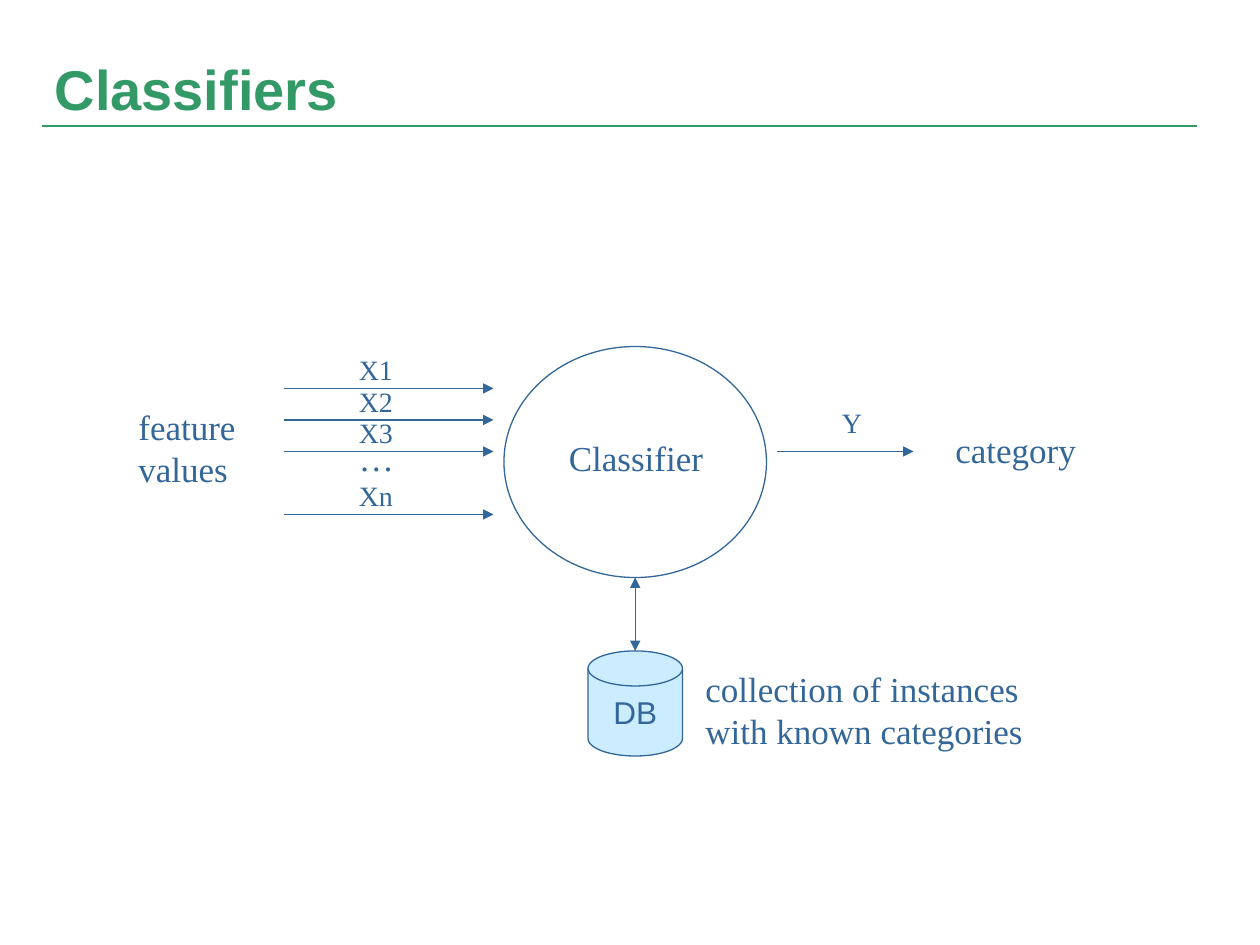
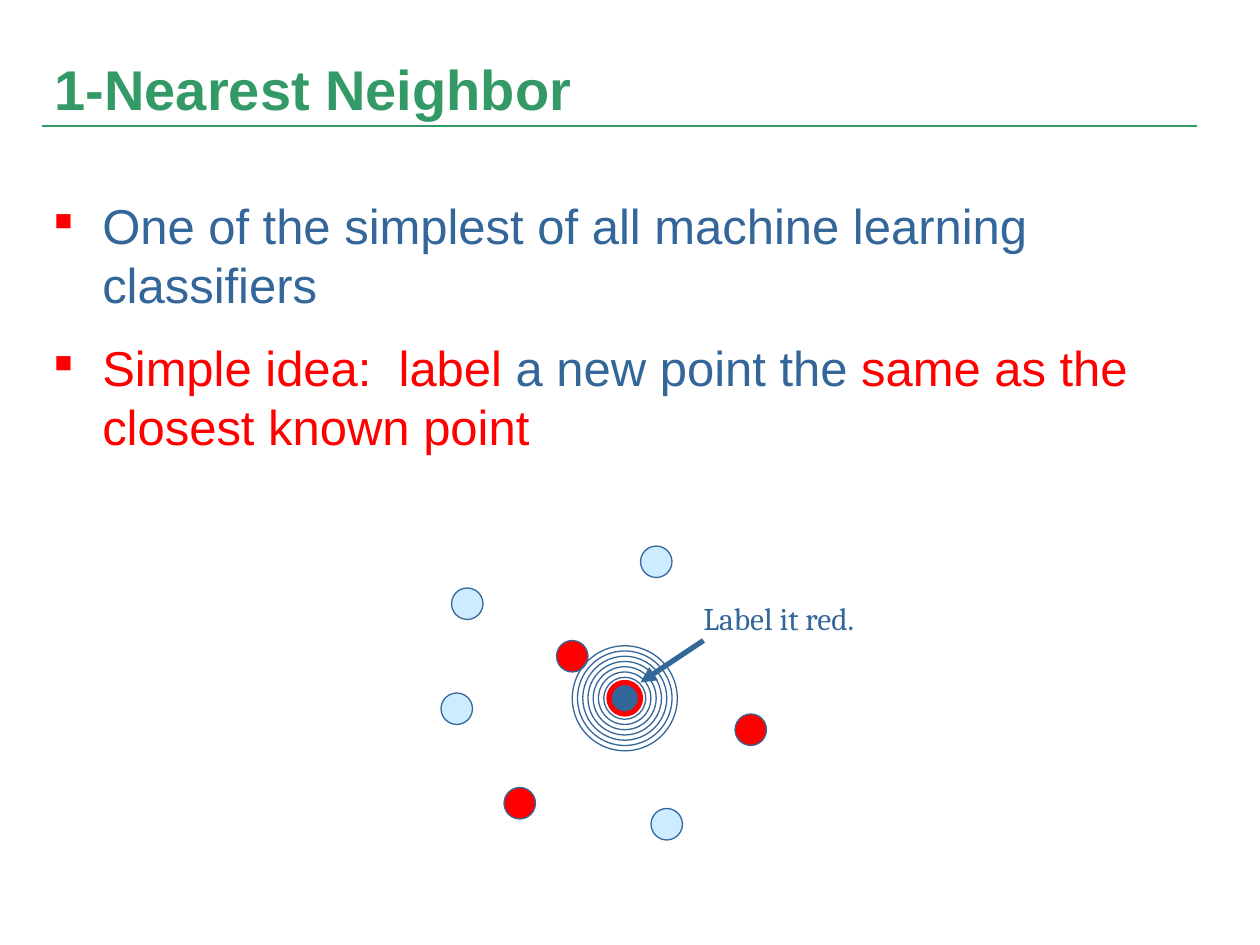
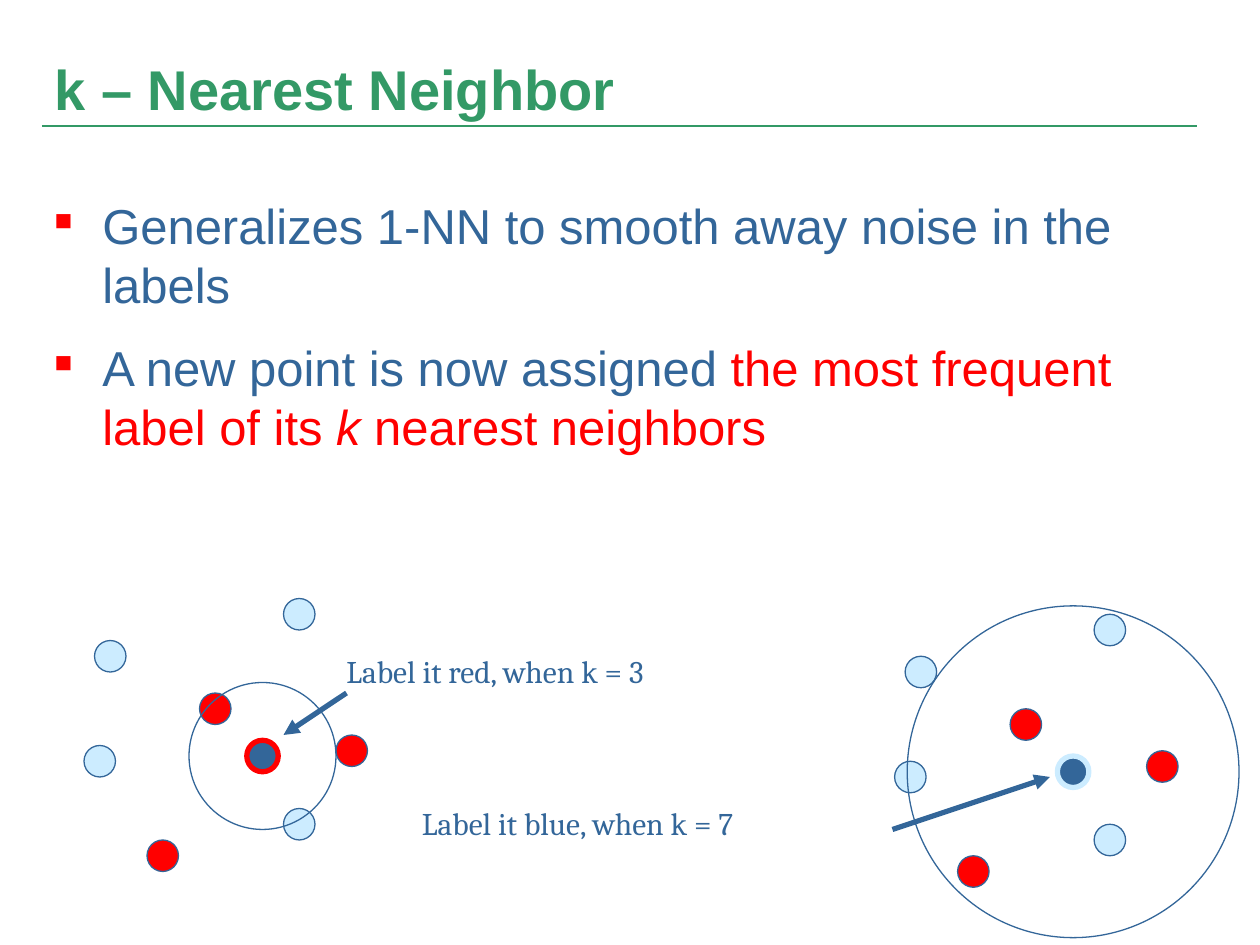
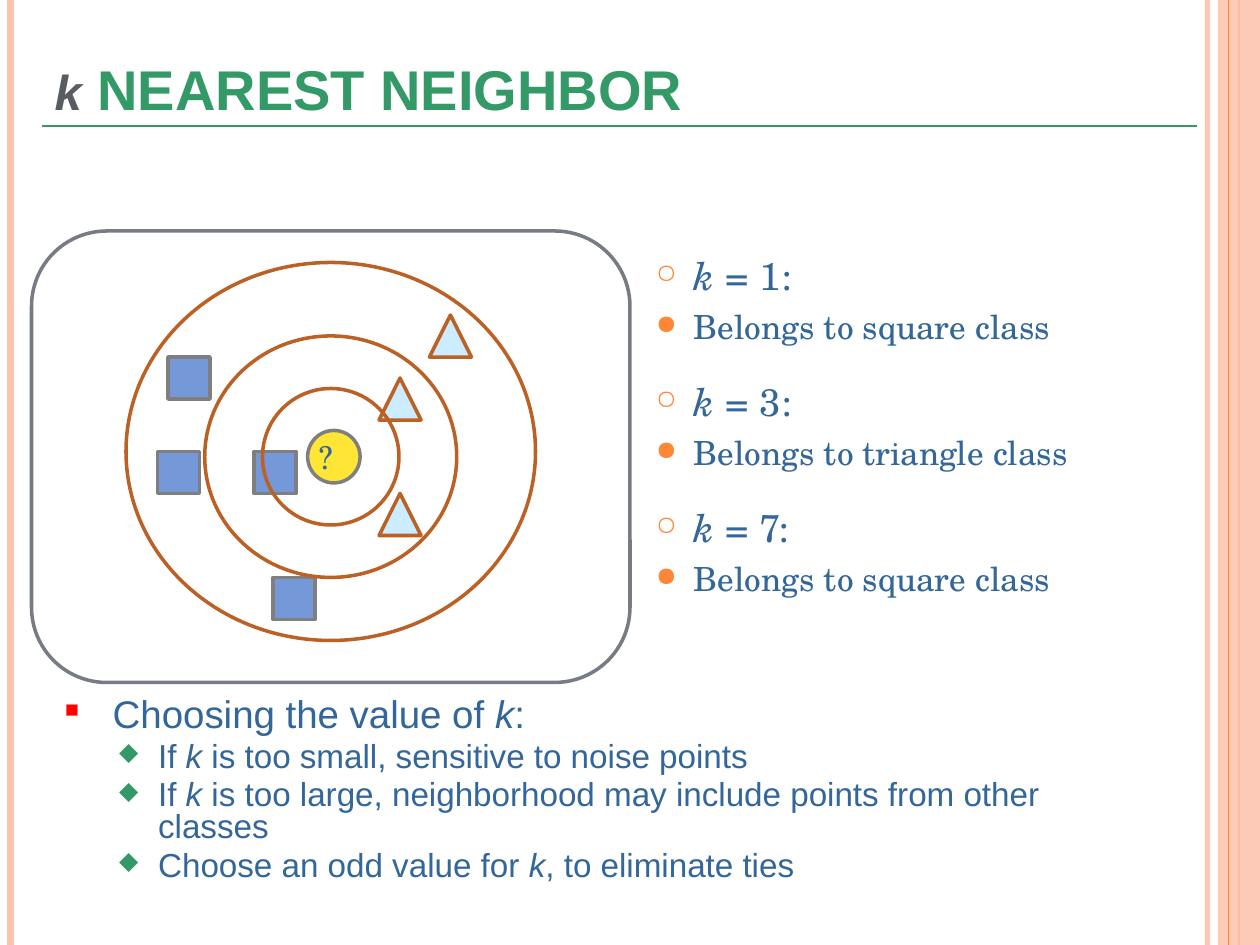
from dataclasses import dataclass

from pptx import Presentation
from pptx.dml.color import RGBColor
from pptx.enum.shapes import MSO_CONNECTOR as Line, MSO_SHAPE as Shape
from pptx.enum.text import MSO_ANCHOR as Anchor, MSO_AUTO_SIZE as Fit, PP_ALIGN as Align
from pptx.oxml.ns import qn
from pptx.oxml.xmlchemy import OxmlElement
from pptx.util import Inches, Pt

COLS, ROWS = 120, 90


@dataclass(frozen=True)
class Theme:
    green: str = "339966"
    blue: str = "336699"
    light: str = "CCECFF"
    red: str = "FF0000"
    dark_gray: str = "595D63"
    frame_gray: str = "777C84"
    gray: str = "7F7F7F"
    square: str = "7598D9"
    yellow: str = "FFE636"
    brown: str = "BB6126"
    orange: str = "FE8637"
    peach: str = "FEC3AE"
    sans: str = "Arial"
    serif: str = "Times New Roman"
    note: str = "Cambria"
    school: str = "TeX Gyre Schola"
    title: int = 32
    title_small: int = 28
    body: int = 28
    choice: int = 22
    detail: int = 19
    label: int = 20
    caption: int = 18
    small: int = 16
    thin: float = 0.75
    medium: float = 2
    thick: float = 3


@dataclass(frozen=True)
class Bullet:
    char: str
    color: str
    size: int
    left: float
    hang: float
    unit: str
    before: int


T = Theme()
POINT = Bullet("■", T.red, 50, 0.38, 0.38, "spcPct", 50000)
SUBPOINT = Bullet("◆", T.green, 75, 0.74, 0.31, "spcPct", 20000)
CIRCLE = Bullet("○", T.orange, 69, 0.34, 0.3, "spcPts", 600)
DISC = Bullet("●", T.orange, 80, 0.34, 0.3, "spcPts", 450)


def child(parent, tag, **attrs):
    el = OxmlElement(tag)
    for name, value in attrs.items():
        el.set(name, str(value))
    parent.append(el)
    return el


def add_alpha(sp, percent):
    for color in sp.element.iter(qn("a:srgbClr")):
        child(color, "a:alpha", val=percent * 1000)


def put(p, text, size=T.label, font=T.serif, color=T.blue, bold=None, accent=T.red):
    """Stretches between bars take the accent colour, between stars italics."""
    for i, part in enumerate(text.split("|")):
        for j, piece in enumerate(part.split("*")):
            if piece:
                r = p.add_run()
                r.text = piece
                f = r.font
                f.size, f.name, f.bold, f.italic = Pt(size), font, bold, bool(j % 2)
                f.color.rgb = RGBColor.from_string(accent if i % 2 else color)


def set_bullet(p, bullet):
    pPr = p._p.get_or_add_pPr()
    pPr.set("marL", str(Inches(bullet.left)))
    pPr.set("indent", str(-Inches(bullet.hang)))
    child(child(pPr, "a:spcBef"), f"a:{bullet.unit}", val=bullet.before)
    child(child(pPr, "a:buClr"), "a:srgbClr", val=bullet.color)
    child(pPr, "a:buSzPct", val=bullet.size * 1000)
    child(pPr, "a:buChar", char=bullet.char)


class Deck:
    def __init__(self):
        self.prs = Presentation()
        self.prs.slide_width, self.prs.slide_height = Inches(10), Inches(7.5)
        self.slide = None

    def grid(self, x, y):
        return round(self.prs.slide_width * x / COLS), round(self.prs.slide_height * y / ROWS)

    def box(self, x, y, w, h):
        return *self.grid(x, y), *self.grid(w, h)

    def new_slide(self):
        self.slide = self.prs.slides.add_slide(self.prs.slide_layouts[5])
        self.line((4, 12), (114, 12), T.green, 1)

    def title(self, text, lead=""):
        sp = self.slide.shapes.title
        sp.left, sp.top, sp.width, sp.height = self.box(4, 3, 112, 12)
        tf = sp.text_frame
        tf.auto_size, tf.vertical_anchor = Fit.NONE, Anchor.MIDDLE
        p = tf.paragraphs[0]
        p.alignment, p.line_spacing = Align.LEFT, 0.8
        put(p, lead, T.title_small, T.sans, T.dark_gray, bold=True)
        put(p, text, T.title, T.sans, T.green, bold=True)

    def line(self, start, end, color=T.blue, width=T.thin, head=False, tail=False):
        cx = self.slide.shapes.add_connector(Line.STRAIGHT, *self.grid(*start), *self.grid(*end))
        cx.line.color.rgb = RGBColor.from_string(color)
        cx.line.width = Pt(width)
        ln = cx.line._get_or_add_ln()
        for shown, tag in ((head, "a:headEnd"), (tail, "a:tailEnd")):
            if shown:
                child(ln, tag, type="triangle")
        child(cx.element.spPr, "a:effectLst")
        return cx

    def shape(self, kind, x, y, w, h, fill=None, line=T.blue, width=T.thin):
        sp = self.slide.shapes.add_shape(kind, *self.box(x, y, w, h))
        sp.shadow.inherit = False
        if fill:
            sp.fill.solid()
            sp.fill.fore_color.rgb = RGBColor.from_string(fill)
        else:
            sp.fill.background()
        if line:
            sp.line.color.rgb = RGBColor.from_string(line)
            sp.line.width = Pt(width)
        else:
            sp.line.fill.background()
        return sp

    def ring(self, cx, cy, size, **style):
        return self.shape(Shape.OVAL, cx - size / 2, cy - size / 2, size, size, **style)

    def label(self, x, y, w, h, *lines, **fmt):
        tf = self.slide.shapes.add_textbox(*self.box(x, y, w, h)).text_frame
        tf.word_wrap, tf.auto_size = False, Fit.SHAPE_TO_FIT_TEXT
        for i, text in enumerate(lines):
            put(tf.add_paragraph() if i else tf.paragraphs[0], text, **fmt)

    def bullets(self, x, y, w, h, items, font=T.sans, spacing=None, inset=True):
        tf = self.slide.shapes.add_textbox(*self.box(x, y, w, h)).text_frame
        tf.word_wrap = True
        if not inset:
            tf.margin_left = tf.margin_top = tf.margin_right = tf.margin_bottom = 0
        for i, (bullet, size, text) in enumerate(items):
            p = tf.add_paragraph() if i else tf.paragraphs[0]
            p.line_spacing = spacing
            if bullet is SUBPOINT:
                p.level = 1
            set_bullet(p, bullet)
            put(p, text, size, font)

    def known_points(self, dx, dy, red, blue):
        points = [(43, 56, T.light), (48, 75, T.red), (61, 52, T.light),
                  (42, 66, T.light), (*red, T.red), (53, 61, T.red), (*blue, T.light)]
        for x, y, fill in points:
            self.shape(Shape.OVAL, x + dx, y + dy, 3, 3, fill)

    def new_point(self, cx, cy, outline):
        self.ring(cx, cy, 3, fill=T.blue, line=outline, width=T.thick)

    def pointer(self, tip, end):
        self.line(tip, end, width=T.thick, head=True)


def classifiers(d):
    d.new_slide()
    d.title("Classifiers")
    d.shape(Shape.OVAL, 48, 33, 25, 22)
    d.label(53, 41, 15.2, 5.3, "Classifier")
    for name, y in (("X1", 37), ("X2", 40), ("X3", 43), ("Xn", 49)):
        d.line((27, y), (47, y), tail=True)
        d.label(33, y - 4, 5.8, 4.4, name, size=T.small)
    d.label(33, 41, 5.8, 5.3, "…")
    d.label(12, 38, 11.8, 9.2, "feature", "values")
    d.line((74, 43), (87, 43), tail=True)
    d.label(79, 38, 4.3, 4.4, "Y", size=T.small)
    d.label(89.8, 40.2, 14, 5.3, "category")
    tf = d.shape(Shape.FLOWCHART_MAGNETIC_DISK, 56, 62, 9, 10, T.light).text_frame
    tf.word_wrap, tf.vertical_anchor = False, Anchor.MIDDLE
    tf.paragraphs[0].alignment = Align.CENTER
    put(tf.paragraphs[0], "DB", T.caption, T.sans)
    d.line((60.5, 55), (60.5, 62), head=True, tail=True)
    d.label(66, 63, 32.9, 9.2, "collection of instances", "with known categories")


def one_nearest(d):
    d.new_slide()
    d.title("1-Nearest Neighbor")
    d.bullets(4, 18, 112, 56.8, [
        (POINT, T.body, "One of the simplest of all machine learning classifiers"),
        (POINT, T.body, "|Simple idea:  label| a new point the |same as the closest known point|"),
    ])
    d.known_points(0, 0, red=(70, 68), blue=(62, 77))
    d.label(65.8, 56.5, 23.3, 6, "Label it red.", size=T.caption, font=T.note)
    for size in range(10, 3, -1):
        d.ring(59.5, 66.5, size)
    d.new_point(59.5, 66.5, T.red)
    d.pointer((61, 65), (67, 61))


def k_nearest(d):
    d.new_slide()
    d.title("k – Nearest Neighbor")
    d.bullets(4, 18, 112, 56.8, [
        (POINT, T.body, "Generalizes 1-NN to smooth away noise in the labels"),
        (POINT, T.body, "A new point is now assigned "
                        "|the most frequent label of its *k* nearest neighbors|"),
    ])
    near = {"red": (66, 65), "blue": (61, 72)}
    d.known_points(-34, 5, **near)
    d.label(31.8, 61.5, 43.9, 6, "Label it red, when k = 3", size=T.caption, font=T.note)
    d.new_point(25, 72, T.red)
    d.pointer((27, 70), (33, 66))
    d.ring(25, 72, 14)
    d.known_points(43.2, 6.5, **near)
    d.label(39, 76, 45.7, 6, "Label it blue, when k = 7", size=T.caption, font=T.note)
    d.new_point(102.2, 73.5, T.light)
    d.pointer((100, 74), (85, 79))
    d.ring(102.2, 73.5, 31.6)


def choosing_k(d):
    d.new_slide()
    add_alpha(d.line((115, 0), (115, ROWS), T.peach, T.thick), 93)
    d.line((1, 0), (1, ROWS), T.peach, 4.5)
    d.line((118, 0), (118, ROWS), T.orange, 1.5)
    add_alpha(d.shape(Shape.RECTANGLE, 116, 0, 4, ROWS, T.peach, None), 87)
    d.line((117, 0), (117, ROWS), T.orange)
    d.title(" NEAREST NEIGHBOR", lead="*k*")
    d.bullets(5, 66, 97, 24, [
        (POINT, T.choice, "Choosing the value of *k*:"),
        (SUBPOINT, T.detail, "If *k* is too small, sensitive to noise points"),
        (SUBPOINT, T.detail, "If *k* is too large, neighborhood may include points from other classes"),
        (SUBPOINT, T.detail, "Choose an odd value for *k*, to eliminate ties"),
    ], spacing=0.8)
    for i, (k, winner) in enumerate(((1, "square"), (3, "triangle"), (7, "square"))):
        d.bullets(62, 24 + 12 * i, 51.1, 10.5, [
            (CIRCLE, T.choice, f"*k* = {k}:"),
            (DISC, T.detail, f"Belongs to {winner} class"),
        ], font=T.school, inset=False)

    outline = {"line": T.brown, "width": T.medium}
    d.shape(Shape.OVAL, 12, 25, 39, 36, **outline)
    d.shape(Shape.ROUNDED_RECTANGLE, 3, 22, 57, 43, line=T.frame_gray, width=T.medium)
    for x, y in ((40.9, 30), (36.1, 47), (36.1, 36)):
        d.shape(Shape.ISOSCELES_TRIANGLE, x, y, 4, 4, T.light, **outline)
    for x, y in ((26, 55), (16, 34), (15, 43), (24.2, 43)):
        d.shape(Shape.RECTANGLE, x, y, 4, 4, T.square, T.gray, T.medium)
    d.shape(Shape.OVAL, 29.3, 41, 5, 5, T.yellow, T.gray, T.medium)
    d.label(29.2, 41.1, 4.6, 4.6, "?", size=T.caption, font=T.school)
    d.shape(Shape.OVAL, 19.5, 32, 24, 23, **outline)
    d.shape(Shape.OVAL, 25, 37, 13, 13, **outline)


def main():
    d = Deck()
    for build in (classifiers, one_nearest, k_nearest, choosing_k):
        build(d)
    d.prs.save("out.pptx")


if __name__ == "__main__":
    main()
